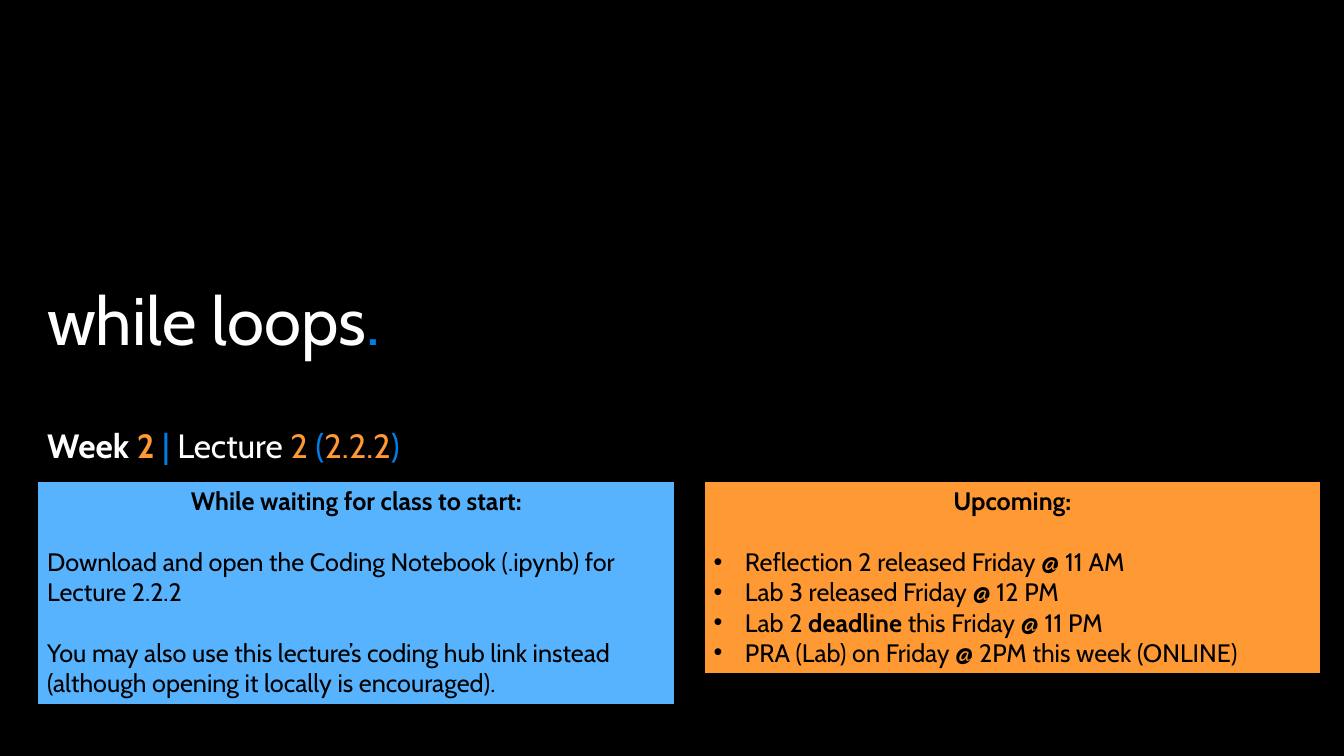
"""Build the opening slide of a lecture on while loops."""
from dataclasses import dataclass
from typing import Any

import lxml.etree
import pptx
import pptx.dml.color
import pptx.enum.shapes
import pptx.enum.text
import pptx.oxml.ns
import pptx.util

Inches = pptx.util.Inches
Pt = pptx.util.Pt
Align = pptx.enum.text.PP_ALIGN
Anchor = pptx.enum.text.MSO_ANCHOR

FONT = "Cabin"
BLACK, WHITE = "000000", "FFFFFF"
ORANGE, BLUE, LIGHT_BLUE = "FF9933", "017EE5", "58B3FE"
LEFT = 0.37
PANEL_TOP = 4.77
BULLET_INDENT = 0.31
LINE_GAP = Pt(21.7)


@dataclass(frozen=True)
class Span:
    text: str
    color: str = BLACK
    bold: bool = False


@dataclass(frozen=True)
class Para:
    spans: tuple[Span, ...]
    format: dict[str, Any]
    bullet: bool = False


@dataclass(frozen=True)
class Block:
    left: float
    top: float
    width: float
    height: float
    size: int
    paras: tuple[Para, ...]
    fill: str | None = None
    anchor: Any = Anchor.TOP


HEADING = {"alignment": Align.CENTER, "space_after": LINE_GAP}
BODY = {"alignment": Align.LEFT}

BLOCKS = (
    Block(LEFT, 2.64, 12.46, 0.98, 48, (
        Para((Span("while loops", WHITE), Span(".", BLUE)), {"line_spacing": 0.9}),
    ), anchor=Anchor.BOTTOM),
    Block(LEFT, 4.21, 12.46, 1.81, 24, (
        Para((
            Span("Week ", WHITE, True), Span("2 ", ORANGE, True), Span("|", BLUE),
            Span(" Lecture ", WHITE), Span("2 ", ORANGE), Span("(", BLUE),
            Span("2.2.2", ORANGE), Span(")", BLUE),
        ), {"line_spacing": 0.9, "space_before": Pt(10)}),
    )),
    Block(6.98, PANEL_TOP, 6.12, 1.92, 18, (
        Para((Span("Upcoming:", bold=True),), HEADING),
        Para((Span("Reflection 2 released Friday @ 11 AM"),), BODY, True),
        Para((Span("Lab 3 released Friday @ 12 PM"),), BODY, True),
        Para((Span("Lab 2 "), Span("deadline ", bold=True),
              Span("this Friday @ 11 PM")), BODY, True),
        Para((Span("PRA (Lab) on Friday @ 2PM this week (ONLINE)"),), BODY, True),
    ), ORANGE),
    Block(LEFT, PANEL_TOP, 6.33, 2.22, 18, (
        Para((Span("While waiting for class to start:", bold=True),), HEADING),
        Para((Span("Download and open the Coding Notebook (.ipynb) for Lecture 2.2.2"),),
             {**BODY, "space_after": LINE_GAP}),
        Para((Span("You may also use this lecture’s coding hub link instead "
                   "(although opening it locally is encouraged)."),), BODY),
    ), LIGHT_BLUE),
)


def rgb(color: str) -> pptx.dml.color.RGBColor:
    """Turn a hex string into a colour."""
    return pptx.dml.color.RGBColor.from_string(color)


def apply_format(target: Any, values: dict[str, Any]) -> None:
    """Set each named attribute on the target."""
    for name, value in values.items():
        setattr(target, name, value)


def add_bullet(paragraph: Any) -> None:
    """Give a paragraph a hanging round bullet."""
    properties = paragraph._p.get_or_add_pPr()
    properties.set("marL", str(Inches(BULLET_INDENT)))
    properties.set("indent", str(-Inches(BULLET_INDENT)))
    qn = pptx.oxml.ns.qn
    lxml.etree.SubElement(properties, qn("a:buFont"), typeface="Arial")
    lxml.etree.SubElement(properties, qn("a:buChar"), char="•")


def add_para(paragraph: Any, para: Para, size: int) -> None:
    """Write the spans of one paragraph."""
    apply_format(paragraph, para.format)
    if para.bullet:
        add_bullet(paragraph)
    for span in para.spans:
        run = paragraph.add_run()
        run.text = span.text
        apply_format(run.font, {"name": FONT, "size": Pt(size), "bold": span.bold})
        run.font.color.rgb = rgb(span.color)


def add_block(page: Any, block: Block) -> None:
    """Draw a text box, or a filled panel when a fill is given."""
    place = [Inches(v) for v in (block.left, block.top, block.width, block.height)]
    if block.fill:
        box = page.shapes.add_shape(pptx.enum.shapes.MSO_SHAPE.RECTANGLE, *place)
        box.shadow.inherit = False
        box.fill.solid()
        box.fill.fore_color.rgb = rgb(block.fill)
        box.line.color.rgb = rgb(BLACK)
        box.line.width = Pt(1.5)
    else:
        box = page.shapes.add_textbox(*place)
    frame = box.text_frame
    apply_format(frame, {"word_wrap": True, "vertical_anchor": block.anchor})
    for index, para in enumerate(block.paras):
        paragraph = frame.add_paragraph() if index else frame.paragraphs[0]
        add_para(paragraph, para, block.size)


def main() -> None:
    """Build and save the deck."""
    deck = pptx.Presentation()
    apply_format(deck, {"slide_width": Inches(13.33), "slide_height": Inches(7.5)})
    page = deck.slides.add_slide(deck.slide_layouts[6])
    page.background.fill.solid()
    page.background.fill.fore_color.rgb = rgb(BLACK)
    for block in BLOCKS:
        add_block(page, block)
    deck.save("out.pptx")


if __name__ == "__main__":
    main()
